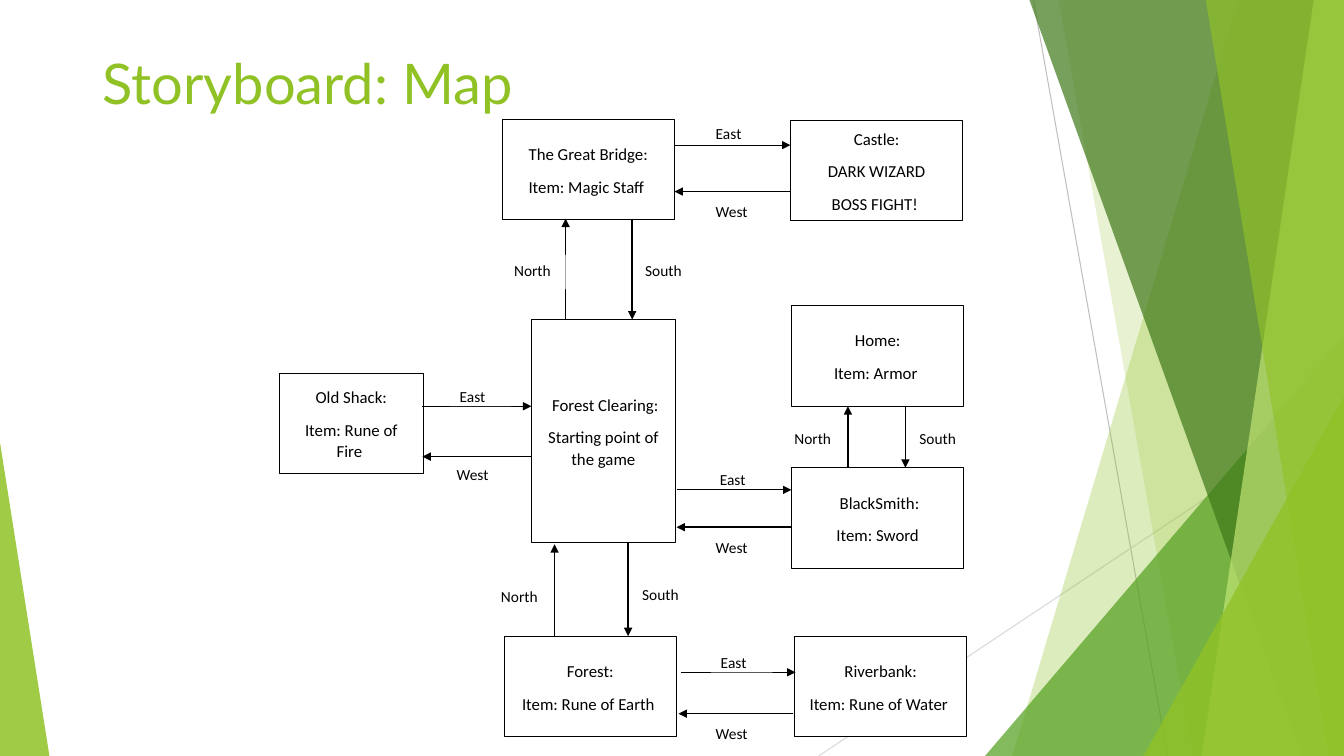
from pptx import Presentation
from pptx.dml.color import RGBColor
from pptx.enum.shapes import MSO_CONNECTOR as Connector, MSO_SHAPE as Shape
from pptx.enum.text import MSO_ANCHOR as Anchor, MSO_AUTO_SIZE as AutoSize, PP_ALIGN as Align
from pptx.oxml.ns import qn
from pptx.util import Inches, Pt
from lxml.etree import SubElement

COLORS = {
    "lime": "90C226", "green": "54A021", "forest": "3F7819", "pale": "C0E474",
    "black": "000000", "white": "FFFFFF", "gray": "BFBFBF", "silver": "D9D9D9",
}

presentation = Presentation()
presentation.slide_width = Inches(13.33)
presentation.slide_height = Inches(7.5)
slide = presentation.slides.add_slide(presentation.slide_layouts[5])
shapes = slide.shapes


def add_line(start, end, color, width):
    line = shapes.add_connector(Connector.STRAIGHT, *map(Inches, start + end))
    line.line.color.rgb = RGBColor.from_string(COLORS[color])
    line.line.width = Pt(width)
    SubElement(line._element.spPr, qn("a:effectLst"))
    return line


def fill_shape(shape, color, opacity=100):
    shape.shadow.inherit = False
    shape.fill.solid()
    shape.fill.fore_color.rgb = RGBColor.from_string(COLORS[color])
    shape.line.fill.background()
    if opacity < 100:
        color_element = shape._element.spPr.find(qn("a:solidFill"))[0]
        SubElement(color_element, qn("a:alpha"), val=str(opacity * 1000))


add_line((10.25, 0), (11.58, 7.5), "gray", 0.75)
add_line((13.33, 4.03), (8.12, 7.5), "silver", 0.75)

bands = [
    (12.28, 10.04, "lime", 30),
    (10.5, 11.83, "lime", 20),
    (9.77, 3.33, 3.56, 1, "green", 72),
    (10.21, 12.91, "forest", 70),
    (13.03, 11.92, "pale", 70),
    (11.96, 13.18, "lime", 65),
    (11.34, 3.93, 1.99, 1, "lime", 80),
    (0, 4.39, 0.49, 0, "lime", 85),
]
for *geometry, color, opacity in bands:
    if len(geometry) == 2:
        top_left, bottom_left = geometry
        corners = [(13.33, 0), (13.33, 7.5), (bottom_left, 7.5)]
        builder = shapes.build_freeform(Inches(top_left), 0)
        builder.add_line_segments([(Inches(x), Inches(y)) for x, y in corners])
        band = builder.convert_to_shape()
    else:
        left, top, width, apex = geometry
        band = shapes.add_shape(
            Shape.ISOSCELES_TRIANGLE, Inches(left), Inches(top), Inches(width), Inches(7.5 - top))
        band.adjustments[0] = apex
    fill_shape(band, color, opacity)

title = shapes.title
title.left, title.top, title.width, title.height = map(Inches, (0.92, 0.43, 8.7, 1.18))
title.text_frame.text = "Storyboard: Map"
title.text_frame.auto_size = AutoSize.NONE
title.text_frame.vertical_anchor = Anchor.TOP
paragraph = title.text_frame.paragraphs[0]
paragraph.alignment = Align.LEFT
paragraph.font.name = "Lato"
paragraph.font.size = Pt(40)
paragraph.font.color.rgb = RGBColor.from_string(COLORS["lime"])

places = [
    (4.98, 1.18, 1.71, 1, "The Great Bridge:\nItem: Magic Staff\u00a0"),
    (7.84, 1.19, 1.71, 1, "Castle:\nDARK WIZARD\nBOSS FIGHT!\u00a0"),
    (7.85, 3.03, 1.71, 1, "Home:\nItem: Armor\u00a0"),
    (7.85, 4.64, 1.71, 1, "\u00a0BlackSmith:\nItem: Sword"),
    (7.88, 6.31, 1.71, 1, "Riverbank:\nItem: Rune of Water\u00a0"),
    (2.77, 3.7, 1.43, 1, "Old Shack:\nItem: Rune of Fire\u00a0"),
    (5, 6.31, 1.71, 1, "Forest:\nItem: Rune of Earth\u00a0"),
    (5.27, 3.17, 1.43, 2.21, "\u00a0Forest Clearing:\nStarting point of the game"),
]
routes = [
    ("West", (7.84, 1.9), (6.69, 1.9), 1, (7, 1.94)),
    ("East", (6.71, 4.86), (7.85, 4.86), 0.75, (7.04, 4.6)),
    ("North", (5.61, 3.17), (5.61, 2.17), 1, (5, 2.53)),
    ("North", (5.5, 6.31), (5.5, 5.4), 1, (4.87, 5.76)),
    ("North", (8.41, 4.64), (8.41, 4.03), 1, (7.78, 4.2)),
    ("South", (6.27, 2.17), (6.27, 3.17), 1, (6.3, 2.53)),
    ("South", (6.23, 5.39), (6.23, 6.31), 1, (6.27, 5.74)),
    ("South", (8.98, 4.03), (8.98, 4.64), 1, (9.02, 4.2)),
    ("East", (6.69, 1.44), (7.84, 1.44), 0.75, (7, 1.17)),
    ("East", (6.75, 6.67), (7.89, 6.67), 0.75, (7.05, 6.42)),
    ("East", (4.19, 4.03), (5.27, 4.03), 1, (4.46, 3.78)),
    ("West", (7.87, 7.08), (6.73, 7.08), 1, (7, 7.12)),
    ("West", (7.85, 5.23), (6.71, 5.23), 1, (7, 5.28)),
    ("West", (5.27, 4.53), (4.19, 4.53), 1, (4.43, 4.55)),
]

boxes = []
for *bounds, text in places:
    place = shapes.add_shape(Shape.RECTANGLE, *map(Inches, bounds))
    fill_shape(place, "white")
    place.line.color.rgb = RGBColor.from_string(COLORS["black"])
    place.line.width = Pt(0.5)
    boxes.append((place, text, 12, Align.CENTER, Anchor.MIDDLE))

for direction, start, end, width, (left, top) in routes:
    arrow = add_line(start, end, "black", width)
    SubElement(arrow.line._get_or_add_ln(), qn("a:tailEnd"), type="triangle")
    height = 0.25 if direction in ("East", "West") else 0.34
    label = shapes.add_shape(Shape.RECTANGLE, *map(Inches, (left, top, 0.61, height)))
    fill_shape(label, "white")
    boxes.append((label, direction, 11, Align.LEFT, Anchor.TOP))

for box, text, size, alignment, anchor in boxes:
    box.text_frame.text = text
    box.text_frame.word_wrap = True
    box.text_frame.vertical_anchor = anchor
    for paragraph in box.text_frame.paragraphs:
        paragraph.alignment = alignment
        paragraph.line_spacing = 1.07
        paragraph.space_after = Pt(8)
        paragraph.font.name = "Calibri"
        paragraph.font.size = Pt(size)
        paragraph.font.color.rgb = RGBColor.from_string(COLORS["black"])

presentation.save("out.pptx")
